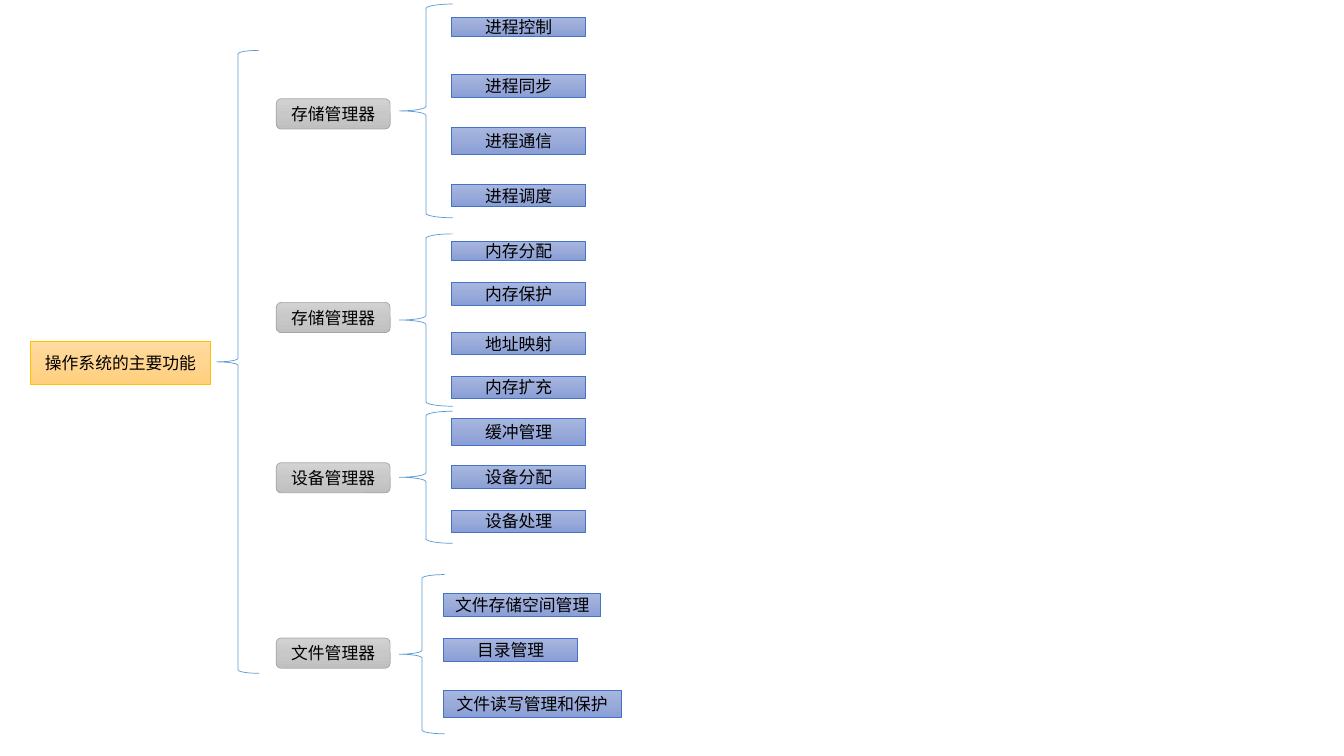
from copy import deepcopy
from pptx import Presentation
from pptx.dml.color import RGBColor
from pptx.enum.shapes import MSO_SHAPE as Shape
from pptx.enum.text import MSO_ANCHOR as Anchor, PP_ALIGN as Align
from pptx.util import Inches, Pt

BLACK = RGBColor(0x00, 0x00, 0x00)
BRACE_BLUE = RGBColor(0x5B, 0x9B, 0xD5)
GOLD = RGBColor(0xFF, 0xC0, 0x00)
GRAY = RGBColor(0xA5, 0xA5, 0xA5)
BLUE = RGBColor(0x44, 0x72, 0xC4)
GOLD_SHADES = [RGBColor(0xFF, 0xDB, 0x9E), RGBColor(0xFF, 0xD5, 0x90), RGBColor(0xFF, 0xD0, 0x7C)]
GRAY_SHADES = [RGBColor(0xD2, 0xD2, 0xD2), RGBColor(0xC8, 0xC8, 0xC8), RGBColor(0xC0, 0xC0, 0xC0)]
BLUE_SHADES = [RGBColor(0xA8, 0xB7, 0xDF), RGBColor(0x9A, 0xAB, 0xD9), RGBColor(0x88, 0x9E, 0xD7)]

deck = Presentation()
deck.slide_width = Inches(13.33)
deck.slide_height = Inches(7.5)
page = deck.slides.add_slide(deck.slide_layouts[6])


def add_brace(left, top, width, height):
    brace = page.shapes.add_shape(
        Shape.LEFT_BRACE, Inches(left), Inches(top), Inches(width), Inches(height))
    brace.shadow.inherit = False
    brace.fill.background()
    brace.line.color.rgb = BRACE_BLUE
    brace.line.width = Pt(0.5)


def add_label(text, left, top, width, height, shades=BLUE_SHADES, edge=BLUE,
              kind=Shape.RECTANGLE, size=12, font="Calibri", color=BLACK):
    box = page.shapes.add_shape(
        kind, Inches(left), Inches(top), Inches(width), Inches(height))
    box.shadow.inherit = False
    box.line.color.rgb = edge
    box.line.width = Pt(0.5)
    box.fill.gradient()
    box.fill.gradient_angle = 270
    first_stop = box._element.xpath("./p:spPr/a:gradFill/a:gsLst/a:gs")[0]
    first_stop.addnext(deepcopy(first_stop))
    for stop, shade, position in zip(box.fill.gradient_stops, shades, (0, 0.5, 1)):
        stop.color.rgb = shade
        stop.position = position
    box.text_frame.vertical_anchor = Anchor.MIDDLE
    para = box.text_frame.paragraphs[0]
    para.alignment = Align.CENTER
    span = para.add_run()
    span.text = text
    span.font.size = Pt(size)
    span.font.name = font
    span.font.color.rgb = color


add_label("操作系统的主要功能", 0.3, 3.39, 1.79, 0.42, shades=GOLD_SHADES, edge=GOLD)
add_brace(2.15, 0.5, 0.42, 6.18)

managers = [
    ("存储管理器", 0.98, 0.04, 2.12, 4.48, [
        ("进程控制", 0.17, 1.33, 0.19),
        ("进程同步", 0.74, 1.33, 0.23),
        ("进程通信", 1.26, 1.33, 0.27),
        ("进程调度", 1.83, 1.33, 0.22)]),
    ("存储管理器", 3, 2.32, 1.71, 4.48, [
        ("内存分配", 2.39, 1.33, 0.19),
        ("内存保护", 2.8, 1.33, 0.23),
        ("地址映射", 3.3, 1.33, 0.22),
        ("内存扩充", 3.73, 1.33, 0.22)]),
    ("设备管理器", 4.59, 4.08, 1.31, 4.48, [
        ("缓冲管理", 4.15, 1.33, 0.27),
        ("设备分配", 4.62, 1.33, 0.23),
        ("设备处理", 5.06, 1.33, 0.22)]),
    ("文件管理器", 6.33, 5.7, 1.58, 4.4, [
        ("文件存储空间管理", 5.89, 1.56, 0.23),
        ("目录管理", 6.33, 1.33, 0.23),
        ("文件读写管理和保护", 6.85, 1.76, 0.27)]),
]
BRACE_LEFT = 3.96
for manager, top, brace_top, brace_height, task_left, tasks in managers:
    add_label(manager, 2.74, top, 1.13, 0.3, shades=GRAY_SHADES, edge=GRAY,
              kind=Shape.ROUNDED_RECTANGLE)
    add_brace(BRACE_LEFT, brace_top, task_left - BRACE_LEFT + 0.01, brace_height)
    for task, task_top, task_width, task_height in tasks:
        add_label(task, task_left, task_top, task_width, task_height)

deck.save("out.pptx")
